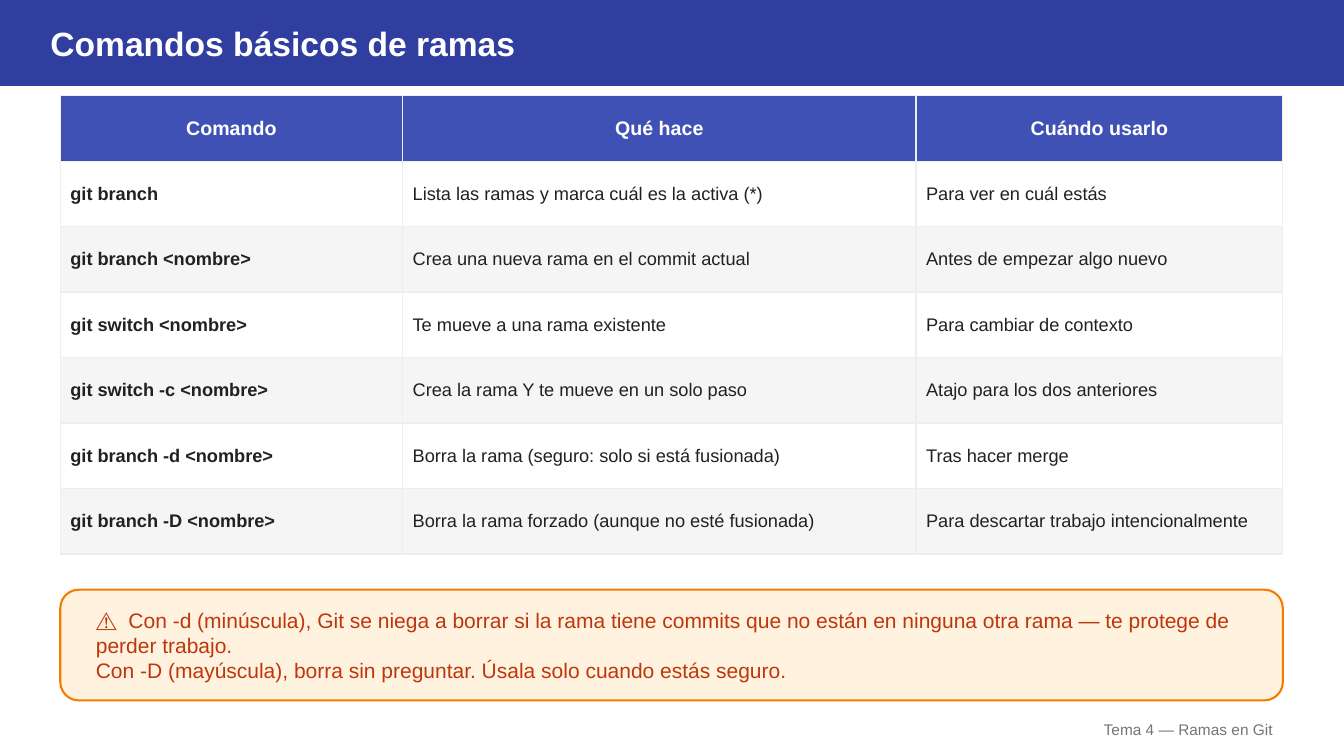
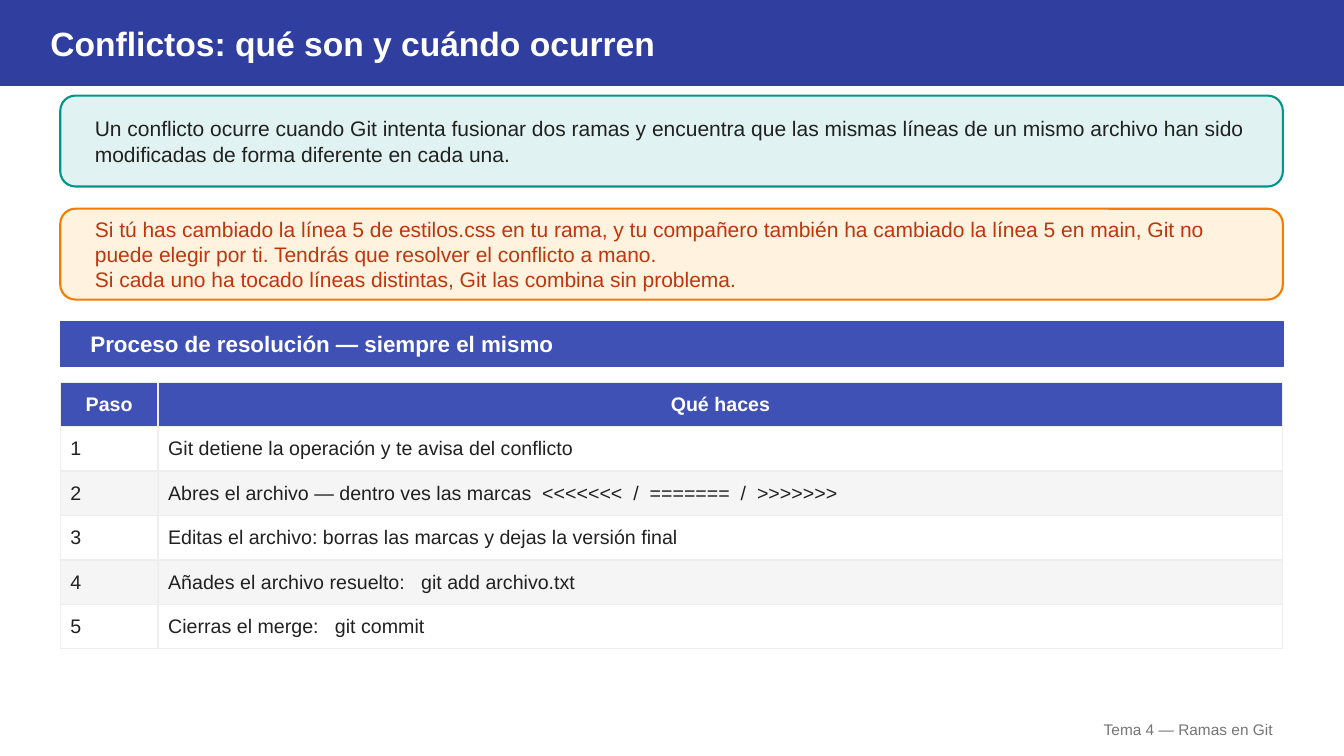
from lxml import etree
from pptx import Presentation
from pptx.dml.color import RGBColor
from pptx.enum.shapes import MSO_SHAPE
from pptx.enum.text import MSO_ANCHOR, MSO_AUTO_SIZE, PP_ALIGN
from pptx.oxml.ns import qn
from pptx.util import Cm, Pt

# Shared style
FONT = "Arial"
WHITE, INK, GREY = "FFFFFF", "212121", "757575"
NAVY, INDIGO = "303F9F", "3F51B5"
STRIPE, BORDER = "F5F5F5", "EEEEEE"
INFO = ("E0F2F1", "009688", INK)            # fill, line, text
WARNING = ("FFF3E0", "F57C00", "BF360C")

# Shared layout, in centimetres
PAGE_W, PAGE_H = 33.87, 19.05
LEFT, WIDTH = 1.52, 30.81
BAND_H = 2.16
TOP = 2.41
INSET = 0.76
FOOTER = "Tema 4 — Ramas en Git"


def color(hex_text):
    return RGBColor.from_string(hex_text)


class Deck:
    def __init__(self):
        self.prs = Presentation()
        self.prs.slide_width, self.prs.slide_height = Cm(PAGE_W), Cm(PAGE_H)
        self.slide = None

    def new_slide(self, title):
        """Start a slide with its title band and footer."""
        self.slide = self.prs.slides.add_slide(self.prs.slide_layouts[5])
        band = self.slide.shapes.title
        band.left, band.top = Cm(0), Cm(0)
        band.width, band.height = Cm(PAGE_W), Cm(BAND_H)
        self.paint(band, NAVY, NAVY)
        self.frame_text(band.text_frame, [title], 24, WHITE, bold=True, inset=1.27)

        footer = self.slide.shapes.add_textbox(Cm(LEFT), Cm(17.98), Cm(WIDTH), Cm(0.81))
        self.frame_text(footer.text_frame, [FOOTER], 11, GREY, PP_ALIGN.RIGHT, inset=0.25)

    def paint(self, shape, fill, line, weight=1):
        shape.fill.solid()
        shape.fill.fore_color.rgb = color(fill)
        shape.line.color.rgb = color(line)
        shape.line.width = Pt(weight)

    def frame_text(self, frame, lines, size, ink, align=PP_ALIGN.LEFT, bold=False, inset=INSET):
        frame.word_wrap = True
        frame.auto_size = MSO_AUTO_SIZE.NONE
        frame.vertical_anchor = MSO_ANCHOR.MIDDLE
        frame.margin_left = frame.margin_right = Cm(inset)
        frame.margin_top = frame.margin_bottom = 0
        self.fill_text(frame, lines, size, ink, align, bold)

    def fill_text(self, frame, lines, size, ink, align, bold):
        frame.text = "\n".join(lines)
        for paragraph in frame.paragraphs:
            paragraph.alignment = align
            for run in paragraph.runs:
                font = run.font
                font.name, font.size, font.bold = FONT, Pt(size), bold
                font.color.rgb = color(ink)

    def block(self, kind, top, height):
        shape = self.slide.shapes.add_shape(kind, Cm(LEFT), Cm(top), Cm(WIDTH), Cm(height))
        shape.shadow.inherit = False
        return shape

    def callout(self, top, height, lines, look):
        fill, line, ink = look
        box = self.block(MSO_SHAPE.ROUNDED_RECTANGLE, top, height)
        self.paint(box, fill, line, 1.5)
        self.frame_text(box.text_frame, lines, 15, ink)

    def heading(self, top, text):
        bar = self.block(MSO_SHAPE.RECTANGLE, top, 1.14)
        self.paint(bar, INDIGO, INDIGO)
        self.frame_text(bar.text_frame, [text], 16, WHITE, bold=True)

    def table(self, top, row_height, shares, rows, size, bold_first=False):
        """Shares are the column widths in percent; the first row is the header."""
        table = self.slide.shapes.add_table(
            len(rows), len(shares), Cm(LEFT), Cm(top), Cm(WIDTH), Cm(row_height * len(rows))
        ).table
        table.horz_banding = False
        for column, share in zip(table.columns, shares):
            column.width = Cm(WIDTH * share / 100)
        for r, texts in enumerate(rows):
            table.rows[r].height = Cm(row_height)
            for c, text in enumerate(texts):
                cell = table.cell(r, c)
                if r == 0:
                    self.cell(cell, text, INDIGO, 14, WHITE, PP_ALIGN.CENTER, True)
                else:
                    fill = WHITE if r % 2 else STRIPE
                    self.cell(cell, text, fill, size, INK, PP_ALIGN.LEFT,
                              bold_first and c == 0)

    def cell(self, cell, text, fill, size, ink, align, bold):
        cell.vertical_anchor = MSO_ANCHOR.MIDDLE
        cell.fill.solid()
        cell.fill.fore_color.rgb = color(fill)
        self.fill_text(cell.text_frame, [text], size, ink, align, bold)
        # Borders come before the fill in the cell properties
        properties = cell._tc.get_or_add_tcPr()
        for index, side in enumerate(("lnL", "lnR", "lnT", "lnB")):
            line = etree.Element(qn(f"a:{side}"), w=str(Pt(1)))
            solid = etree.SubElement(line, qn("a:solidFill"))
            etree.SubElement(solid, qn("a:srgbClr"), val=BORDER)
            properties.insert(index, line)


deck = Deck()

# Slide 1: branch commands
deck.new_slide("Comandos básicos de ramas")
deck.table(TOP, 1.65, (28, 42, 30), [
    ("Comando", "Qué hace", "Cuándo usarlo"),
    ("git branch", "Lista las ramas y marca cuál es la activa (*)", "Para ver en cuál estás"),
    ("git branch <nombre>", "Crea una nueva rama en el commit actual",
     "Antes de empezar algo nuevo"),
    ("git switch <nombre>", "Te mueve a una rama existente", "Para cambiar de contexto"),
    ("git switch -c <nombre>", "Crea la rama Y te mueve en un solo paso",
     "Atajo para los dos anteriores"),
    ("git branch -d <nombre>", "Borra la rama (seguro: solo si está fusionada)",
     "Tras hacer merge"),
    ("git branch -D <nombre>", "Borra la rama forzado (aunque no esté fusionada)",
     "Para descartar trabajo intencionalmente"),
], size=13, bold_first=True)
deck.callout(14.86, 2.79, [
    "⚠  Con -d (minúscula), Git se niega a borrar si la rama tiene commits que no están "
    "en ninguna otra rama — te protege de perder trabajo.",
    "Con -D (mayúscula), borra sin preguntar. Úsala solo cuando estás seguro.",
], WARNING)

# Slide 2: conflicts
deck.new_slide("Conflictos: qué son y cuándo ocurren")
deck.callout(TOP, 2.29, [
    "Un conflicto ocurre cuando Git intenta fusionar dos ramas y encuentra que las mismas "
    "líneas de un mismo archivo han sido modificadas de forma diferente en cada una.",
], INFO)
deck.callout(5.26, 2.29, [
    "Si tú has cambiado la línea 5 de estilos.css en tu rama, y tu compañero también ha "
    "cambiado la línea 5 en main, Git no puede elegir por ti. Tendrás que resolver el "
    "conflicto a mano.",
    "Si cada uno ha tocado líneas distintas, Git las combina sin problema.",
], WARNING)
deck.heading(8.1, "Proceso de resolución — siempre el mismo")
steps = (
    "Git detiene la operación y te avisa del conflicto",
    "Abres el archivo — dentro ves las marcas  <<<<<<<  /  =======  /  >>>>>>>",
    "Editas el archivo: borras las marcas y dejas la versión final",
    "Añades el archivo resuelto:   git add archivo.txt",
    "Cierras el merge:   git commit",
)
numbered = [(str(number), step) for number, step in enumerate(steps, 1)]
deck.table(9.63, 1.12, (8, 92), [("Paso", "Qué haces"), *numbered], size=14)

deck.prs.save("out.pptx")
